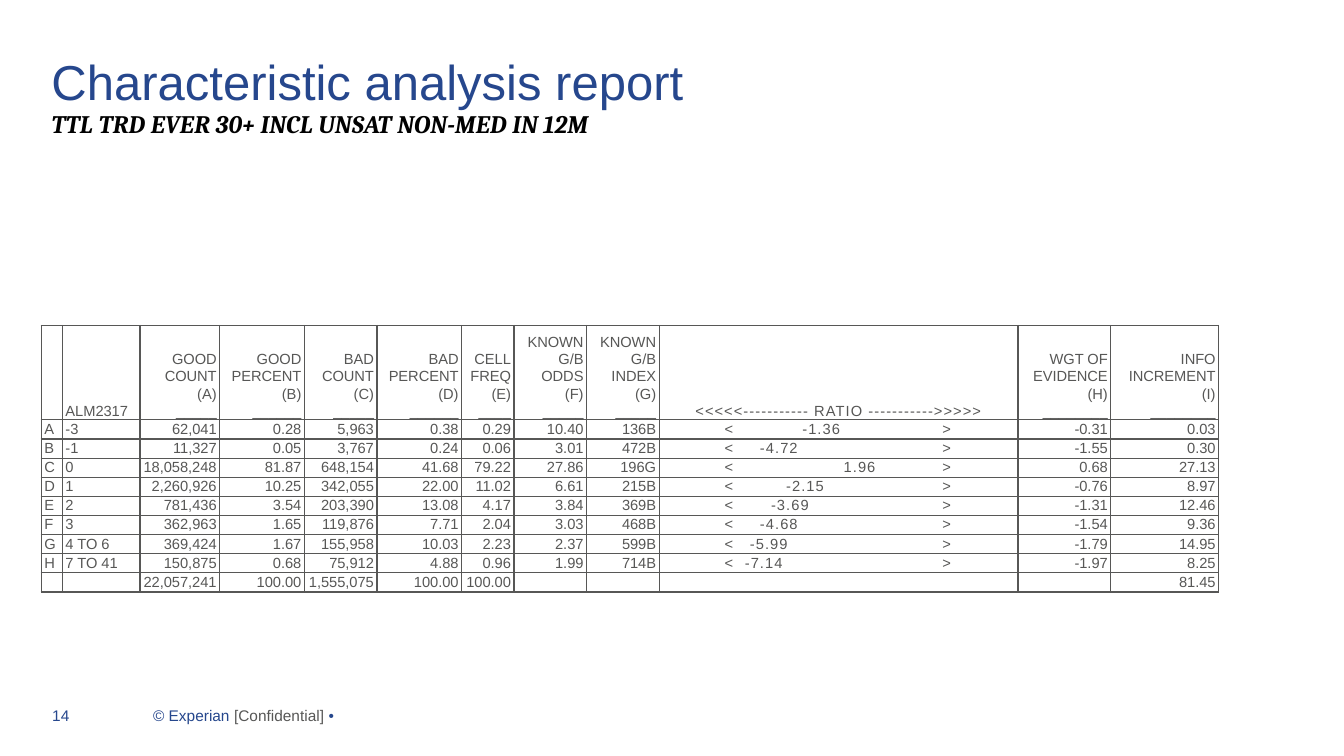
from dataclasses import dataclass

from lxml.etree import SubElement
from pptx import Presentation
from pptx.dml.color import RGBColor
from pptx.enum.text import MSO_ANCHOR as Anchor, PP_ALIGN as Align
from pptx.oxml.ns import qn
from pptx.util import Inches, Pt


@dataclass(frozen=True)
class Theme:
    blue: str = "26478D"
    gray: str = "575756"
    black: str = "000000"
    white: str = "FFFFFF"
    sans: str = "Arial"
    serif: str = "Cambria"
    title: float = 35
    subtitle: float = 18
    footer: float = 11
    table: float = 10.5
    border: float = 1
    ratio_spacing: float = 0.8


THEME = Theme()
COLUMNS = [0.21, 0.77, 0.79, 0.84, 0.72, 0.84, 0.52, 0.72, 0.72, 3.56, 0.92, 1.07]
HEADER_HEIGHT, ROW_HEIGHT = 0.93, 0.19
LABEL_COLUMNS, RATIO_COLUMN = 2, 9
RATIO_LEFT, RATIO_RIGHT = 0.62, 2.78
HEADERS = [
    "", "ALM2317", "GOOD\nCOUNT\n(A)\n_____", "GOOD\nPERCENT\n(B)\n______",
    "BAD\nCOUNT\n(C)\n_____", "BAD\nPERCENT\n(D)\n______", "CELL\nFREQ\n(E)\n____",
    "KNOWN\nG/B\nODDS\n(F)\n_____", "KNOWN\nG/B\nINDEX\n(G)\n_____",
    "<<<<<----------- RATIO ----------->>>>>",
    "WGT OF\nEVIDENCE\n(H)\n________", "INFO\nINCREMENT\n(I)\n________",
]
ROWS = [
    ["A", "-3", "62,041", "0.28", "5,963", "0.38", "0.29", "10.40", "136B", "-1.36", "-0.31", "0.03"],
    ["B", "-1", "11,327", "0.05", "3,767", "0.24", "0.06", "3.01", "472B", "-4.72", "-1.55", "0.30"],
    ["C", "0", "18,058,248", "81.87", "648,154", "41.68", "79.22", "27.86", "196G", "1.96", "0.68", "27.13"],
    ["D", "1", "2,260,926", "10.25", "342,055", "22.00", "11.02", "6.61", "215B", "-2.15", "-0.76", "8.97"],
    ["E", "2", "781,436", "3.54", "203,390", "13.08", "4.17", "3.84", "369B", "-3.69", "-1.31", "12.46"],
    ["F", "3", "362,963", "1.65", "119,876", "7.71", "2.04", "3.03", "468B", "-4.68", "-1.54", "9.36"],
    ["G", "4 TO 6", "369,424", "1.67", "155,958", "10.03", "2.23", "2.37", "599B", "-5.99", "-1.79", "14.95"],
    ["H", "7 TO 41", "150,875", "0.68", "75,912", "4.88", "0.96", "1.99", "714B", "-7.14", "-1.97", "8.25"],
    ["", "", "22,057,241", "100.00", "1,555,075", "100.00", "100.00", "", "", "", "", "81.45"],
]
RATIO_STOPS = {
    "-7.14": 0.82, "-5.99": 0.87, "-4.72": 0.97, "-4.68": 0.97,
    "-3.69": 1.08, "-2.15": 1.23, "-1.36": 1.39, "1.96": 1.8,
}


def add_run(p, text, size, color, font=THEME.sans, bold=False, italic=False):
    r = p.add_run()
    r.text = text
    r.font.size = Pt(size)
    r.font.name = font
    r.font.color.rgb = RGBColor.from_string(color)
    r.font.bold = bold
    r.font.italic = italic
    return r


def add_tabs(p, stops):
    tabs = SubElement(p._p.get_or_add_pPr(), qn("a:tabLst"))
    for stop in stops:
        SubElement(tabs, qn("a:tab"), pos=str(Inches(stop)), algn="l")


def add_text_box(s, left, top, width, height, inset_x=0, inset_y=0):
    tf = s.shapes.add_textbox(Inches(left), Inches(top), Inches(width), Inches(height)).text_frame
    tf.word_wrap = True
    tf.margin_left = tf.margin_right = Inches(inset_x)
    tf.margin_top = tf.margin_bottom = Inches(inset_y)
    return tf


def add_title(s, left, top, width, height):
    p = add_text_box(s, left, top, width, height).paragraphs[0]
    p.line_spacing = 0.9
    add_run(p, "Characteristic analysis report", THEME.title, THEME.blue)
    p.add_line_break()
    add_run(p, "TTL TRD EVER 30+ INCL UNSAT NON-MED IN 12M", THEME.subtitle,
            THEME.black, THEME.serif, bold=True, italic=True)


def add_footer(s, left, top, width, height):
    p = add_text_box(s, left, top, width, height, 0.1, 0.05).paragraphs[0]
    add_tabs(p, [1])
    add_run(p, "14\t© Experian ", THEME.footer, THEME.blue)
    add_run(p, "[Confidential] ", THEME.footer, THEME.gray)
    add_run(p, "•", THEME.footer, THEME.blue)


def style_cell(cell):
    tcPr = cell._tc.get_or_add_tcPr()
    for side in ("lnL", "lnR", "lnT", "lnB"):
        ln = SubElement(tcPr, qn(f"a:{side}"), w=str(Pt(THEME.border)))
        SubElement(SubElement(ln, qn("a:solidFill")), qn("a:srgbClr"), val=THEME.gray)
    cell.fill.solid()
    cell.fill.fore_color.rgb = RGBColor.from_string(THEME.white)
    cell.margin_left = cell.margin_right = Inches(0.03)
    cell.margin_top = cell.margin_bottom = 0


def fill_cell(cell, text, column, is_header):
    style_cell(cell)
    cell.vertical_anchor = Anchor.BOTTOM if is_header else Anchor.TOP
    p = cell.text_frame.paragraphs[0]
    p.line_spacing = 1.07
    if not text:
        SubElement(p._p, qn("a:endParaRPr"), sz=str(int(THEME.table * 100)))
        return
    is_ratio = column == RATIO_COLUMN
    if is_ratio and not is_header:
        p.alignment = Align.LEFT
        add_tabs(p, [RATIO_LEFT, RATIO_STOPS[text], RATIO_RIGHT])
        text = f"\t<\t{text}\t>"
    elif is_ratio:
        p.alignment = Align.CENTER
    else:
        p.alignment = Align.LEFT if column < LABEL_COLUMNS else Align.RIGHT
    for i, line in enumerate(text.split("\n")):
        if i:
            p.add_line_break()
        r = add_run(p, line, THEME.table, THEME.gray)
        if is_ratio:
            r.font._element.set("spc", str(int(THEME.ratio_spacing * 100)))
    for br in p._p.findall(qn("a:br")):
        SubElement(br, qn("a:rPr"), sz=str(int(THEME.table * 100)))


def add_report_table(s, left, top):
    grid = [HEADERS] + ROWS
    height = HEADER_HEIGHT + ROW_HEIGHT * len(ROWS)
    table = s.shapes.add_table(len(grid), len(COLUMNS), Inches(left), Inches(top),
                               Inches(sum(COLUMNS)), Inches(height)).table
    table.first_row = table.horz_banding = False
    for column, width in zip(table.columns, COLUMNS):
        column.width = Inches(width)
    for i, values in enumerate(grid):
        table.rows[i].height = Inches(ROW_HEIGHT if i else HEADER_HEIGHT)
        for j, text in enumerate(values):
            fill_cell(table.cell(i, j), text, j, i == 0)


def main():
    prs = Presentation()
    prs.slide_width, prs.slide_height = Inches(13.33), Inches(7.5)
    s = prs.slides.add_slide(prs.slide_layouts[6])
    add_footer(s, 0.42, 6.96, 8.63, 0.29)
    add_report_table(s, 0.41, 3.23)
    add_title(s, 0.51, 0.58, 12.31, 1.1)
    prs.save("out.pptx")


if __name__ == "__main__":
    main()
